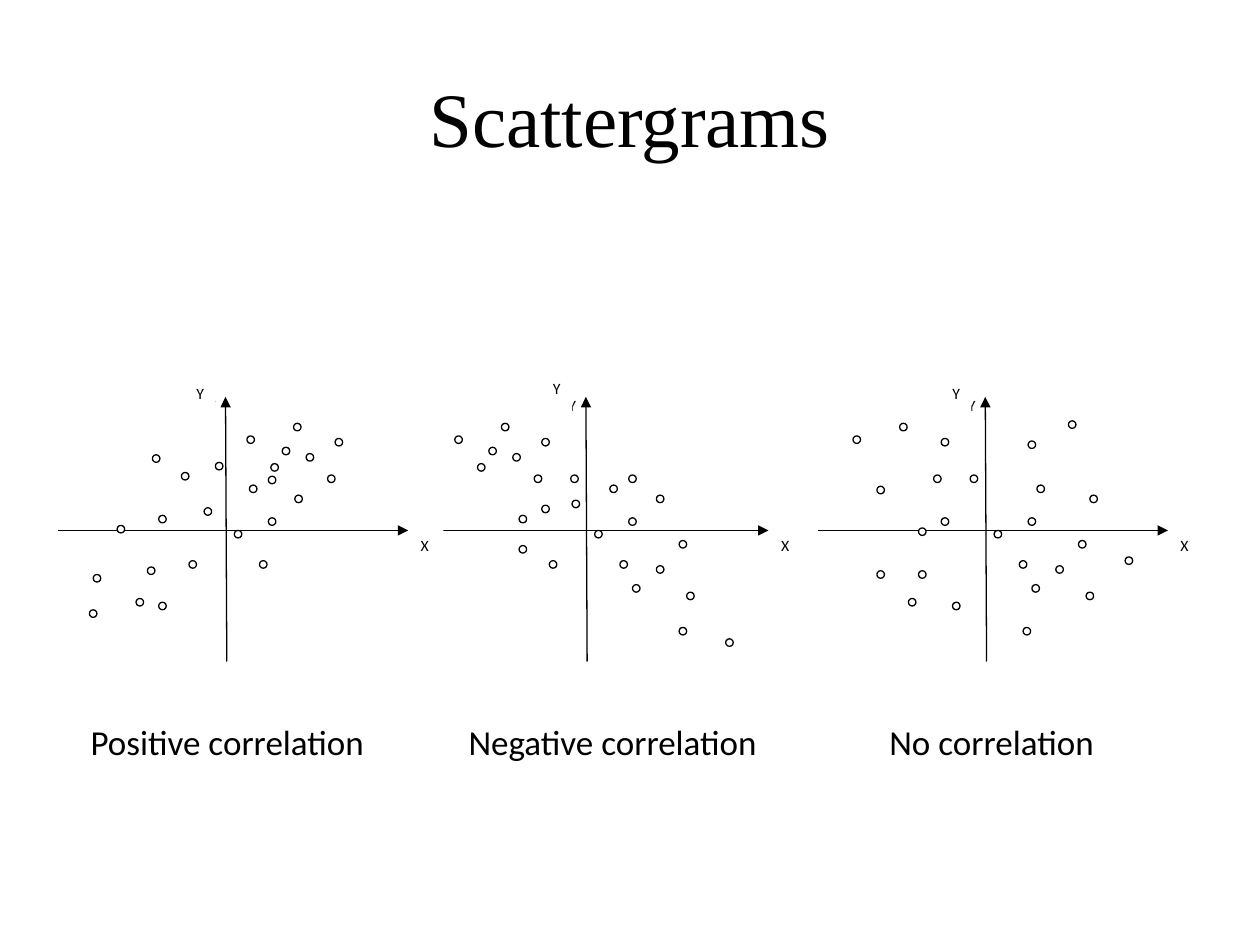
from pptx import Presentation
from pptx.dml.color import RGBColor
from pptx.enum.shapes import MSO_CONNECTOR, MSO_SHAPE
from pptx.enum.text import MSO_ANCHOR, PP_ALIGN
from pptx.oxml.ns import qn
from pptx.util import Inches, Pt
from lxml.etree import SubElement

BLACK, WHITE = "000000", "FFFFFF"
PANEL_TOP, PANEL_WIDTH, PANEL_HEIGHT = 3, 2.78, 2.25
DOT_SIZE = 0.06

NEGATIVE_DOTS = [
    (0.66, 0.36), (1.67, 0.77), (1.7, 1.64), (1.04, 1.45), (1.67, 1.11),
    (0.92, 0.77), (2.44, 2.07), (1.89, 0.93), (0.98, 1.01), (1.52, 0.85),
    (1.6, 1.45), (0.8, 1.33), (1.4, 1.21), (1.89, 1.49), (2.07, 1.29),
    (0.56, 0.55), (0.75, 0.6), (2.07, 1.98), (2.13, 1.7), (1.22, 0.97),
    (0.29, 0.46), (0.8, 1.09), (0.98, 0.48), (1.21, 0.77), (0.47, 0.68),
]
UNRELATED_DOTS = [
    (0.65, 0.36), (1.67, 0.5), (1.7, 1.64), (0.47, 1.53), (1.67, 1.11),
    (0.92, 0.77), (2.44, 1.42), (2.16, 0.93), (0.98, 1.11), (1.74, 0.85),
    (1.6, 1.45), (0.8, 1.53), (1.4, 1.21), (1.89, 1.49), (2.07, 1.29),
    (1.07, 1.78), (0.72, 1.75), (1.63, 1.98), (2.13, 1.7), (1.99, 0.34),
    (0.28, 0.46), (0.8, 1.19), (0.98, 0.48), (1.21, 0.77), (0.47, 0.86),
]
POSITIVE_DOTS = [
    (1.87, 0.36), (1.67, 0.78), (0.28, 1.56), (1.04, 1.45), (1.67, 1.11),
    (2.14, 0.77), (0.62, 1.75), (1.88, 0.93), (0.98, 0.75), (1.52, 0.85),
    (1.6, 1.45), (0.8, 1.78), (1.4, 1.21), (0.47, 1.17), (1.25, 0.67),
    (1.78, 0.55), (1.97, 0.6), (0.25, 1.84), (0.71, 1.5), (0.75, 0.61),
    (1.5, 0.46), (0.8, 1.09), (2.2, 0.48), (1.16, 1.03), (1.69, 0.68),
]
PANELS = [(3.32, NEGATIVE_DOTS), (6.49, UNRELATED_DOTS), (0.46, POSITIVE_DOTS)]
OUTER_LABELS = [(4.29, 2.96), (1.46, 3), (7.46, 3)]
CAPTIONS = [
    ("Positive correlation", 0.62, 2.75),
    ("Negative correlation", 3.62, 2.75),
    ("No correlation", 6.96, 1.92),
]


def color(value):
    return RGBColor.from_string(value)


def write(shape, text, size, font="Calibri", align=PP_ALIGN.LEFT, anchor=MSO_ANCHOR.TOP):
    frame = shape.text_frame
    frame.word_wrap = True
    frame.vertical_anchor = anchor
    para = frame.paragraphs[0]
    para.text = text
    para.alignment = align
    para.font.name = font
    para.font.size = Pt(size)
    para.font.color.rgb = color(BLACK)


def add_text(page, box, text, size, **style):
    write(page.shapes.add_textbox(*map(Inches, box)), text, size, **style)


def add_white_shape(page, kind, box):
    shape = page.shapes.add_shape(kind, *map(Inches, box))
    shape.shadow.inherit = False
    shape.fill.solid()
    shape.fill.fore_color.rgb = color(WHITE)
    return shape


def add_axis_label(page, box, text):
    label = add_white_shape(page, MSO_SHAPE.RECTANGLE, box)
    label.line.fill.background()
    write(label, text, 9)


def add_dot(page, left, top):
    dot = add_white_shape(page, MSO_SHAPE.OVAL, (left, top, DOT_SIZE, DOT_SIZE))
    dot.line.color.rgb = color(BLACK)
    dot.line.width = Pt(0.75)


def add_axis(page, start, end):
    axis = page.shapes.add_connector(MSO_CONNECTOR.STRAIGHT, *map(Inches, start + end))
    axis.line.color.rgb = color(BLACK)
    axis.line.width = Pt(0.75)
    SubElement(axis.line._get_or_add_ln(), qn("a:tailEnd"), type="triangle")
    SubElement(axis._element.spPr, qn("a:effectLst"))


def add_scattergram(page, box, dots):
    left, top, width, height = box
    add_axis(page, (left, top + 1.21), (left + width, top + 1.21))
    add_axis(page, (left + 1.34, top + height), (left + 1.33, top + 0.15))
    for x, y in dots:
        add_dot(page, left + x, top + y)
    add_axis_label(page, (left + 1.11, top + 0.09, 0.18, 0.28), "Y")
    add_axis_label(page, (left + width, top + 1.2, 0.28, 0.25), "X")


def main():
    deck = Presentation()
    deck.slide_width, deck.slide_height = Inches(10), Inches(7.5)
    page = deck.slides.add_slide(deck.slide_layouts[6])
    add_text(page, (0.5, 0.3, 9, 1.25), "Scattergrams", 44, font="Times New Roman",
             align=PP_ALIGN.CENTER, anchor=MSO_ANCHOR.MIDDLE)
    for left, dots in PANELS:
        add_scattergram(page, (left, PANEL_TOP, PANEL_WIDTH, PANEL_HEIGHT), dots)
    for left, top in OUTER_LABELS:
        add_axis_label(page, (left, top, 0.25, 0.38), "Y")
    for text, left, width in CAPTIONS:
        add_text(page, (left, 5.67, width, 0.43), text, 20)
    deck.save("out.pptx")


if __name__ == "__main__":
    main()
